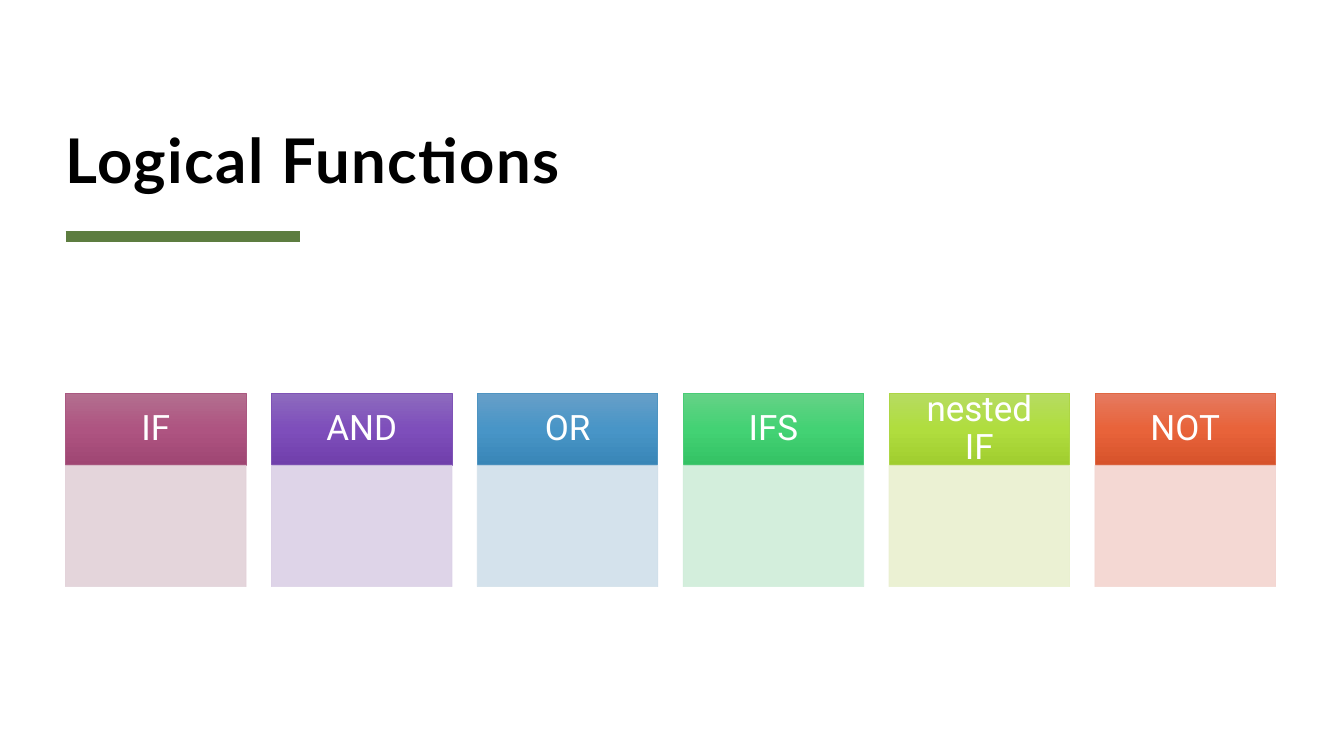
from copy import deepcopy
from dataclasses import dataclass

from lxml import etree
from pptx import Presentation, util as u
from pptx.dml.color import RGBColor
from pptx.enum import shapes, text
from pptx.oxml.ns import qn


@dataclass(frozen=True)
class Theme:
    title_font: str = "Lato"
    label_font: str = "Roboto"
    title_size: float = 44
    label_size: float = 25
    title_color: str = "000000"
    label_color: str = "FFFFFF"
    accent: str = "5D7D40"
    accent_width: float = 8
    border: float = 0.5
    body_opacity: int = 90


THEME = Theme()
SLIDE_W, SLIDE_H = 13.33, 7.5
MARGIN, CONTENT_W = 0.65, 12
GAP_SHARE = 0.14  # gap between cards, as a share of a card's width
HEAD_SHARE = 0.4  # header height, as a share of a card's width

# label, header gradient from top to bottom, header border, body
FUNCTIONS = [
    ("IF", ("B36F8F", "AE5481", "9F4673"), "AA5881", "E2D1D8"),
    ("AND", ("8D6BBE", "7E4EBB", "703FAB"), "7F53B6", "DBD0E6"),
    ("OR", ("679FC8", "4895C7", "3986B7"), "4E94C1", "D0DFEA"),
    ("IFS", ("65D286", "43D274", "34C264"), "49CC76", "CFEDD9"),
    ("nested IF", ("B6DC62", "B0DD3E", "A0CD2F"), "ADD645", "E9F0CF"),
    ("NOT", ("E57A60", "E8633A", "D7532B"), "E06742", "F3D4CF"),
]


def rgb(value):
    return RGBColor.from_string(value)


def inches(*lengths):
    return [u.Inches(length) for length in lengths]


def write(shape, words, *, font, size, color, bold=False, align=text.PP_ALIGN.LEFT,
          anchor=text.MSO_ANCHOR.MIDDLE, leading=1.0, tracking=0, inset=(0, 0)):
    """Fill a shape with one paragraph; inset is (horizontal, vertical)."""
    frame = shape.text_frame
    frame.word_wrap = True
    frame.vertical_anchor = anchor
    frame.margin_left = frame.margin_right = u.Inches(inset[0])
    frame.margin_top = frame.margin_bottom = u.Inches(inset[1])
    paragraph = frame.paragraphs[0]
    paragraph.alignment = align
    paragraph.line_spacing = leading
    run = paragraph.add_run()
    run.text = words
    run.font.name, run.font.size, run.font.bold = font, u.Pt(size), bold
    run.font.color.rgb = rgb(color)
    if tracking:
        run.font._element.set("spc", str(int(tracking * 100)))


def fill_gradient(shape, colors):
    """Spread the colours evenly from top to bottom."""
    shape.fill.gradient()
    shape.fill.gradient_angle = 270
    stop_list = shape._element.spPr.find(".//" + qn("a:gsLst"))
    while len(stop_list) < len(colors):
        stop_list.append(deepcopy(stop_list[0]))
    for i, (stop, color) in enumerate(zip(shape.fill.gradient_stops, colors)):
        stop.color.rgb = rgb(color)
        stop.position = i / (len(colors) - 1)


def set_opacity(shape, percent):
    for color in shape._element.spPr.iter(qn("a:srgbClr")):
        etree.SubElement(color, qn("a:alpha"), val=str(percent * 1000))


def add_panel(slide, box, border):
    panel = slide.shapes.add_shape(shapes.MSO_SHAPE.RECTANGLE, *inches(*box))
    panel.shadow.inherit = False
    panel.line.color.rgb = rgb(border)
    panel.line.width = u.Pt(THEME.border)
    return panel


def add_heading(slide, box, words):
    """Title on the floor of the box's upper part, with the accent rule at its bottom."""
    left, top, width, height = box
    title = slide.shapes.add_textbox(*inches(left, top, width, height - 0.41))
    write(title, words, font=THEME.title_font, size=THEME.title_size, bold=True,
          color=THEME.title_color, anchor=text.MSO_ANCHOR.BOTTOM, leading=0.8, tracking=1)
    bottom = top + height
    rule = slide.shapes.add_connector(
        shapes.MSO_CONNECTOR.STRAIGHT, *inches(left, bottom, left + 2.33, bottom))
    rule.line.color.rgb = rgb(THEME.accent)
    rule.line.width = u.Pt(THEME.accent_width)
    etree.SubElement(rule._element.spPr, qn("a:effectLst"))


def add_card(slide, box, label, gradient, border, tint):
    left, top, width, height = box
    head_h = width * HEAD_SHARE
    head = add_panel(slide, (left, top, width, head_h), border)
    fill_gradient(head, gradient)
    write(head, label, font=THEME.label_font, size=THEME.label_size, color=THEME.label_color,
          align=text.PP_ALIGN.CENTER, leading=0.9, inset=(0.19, 0.11))
    body = add_panel(slide, (left, top + head_h, width, height - head_h), tint)
    body.fill.solid()
    body.fill.fore_color.rgb = rgb(tint)
    set_opacity(body, THEME.body_opacity)


def add_card_row(slide, box, cards):
    left, top, width, height = box
    card_w = width / (len(cards) + GAP_SHARE * (len(cards) - 1))
    for i, card in enumerate(cards):
        card_left = left + i * card_w * (1 + GAP_SHARE)
        add_card(slide, (card_left, top, card_w, height), *card)


def main():
    deck = Presentation()
    deck.slide_width, deck.slide_height = inches(SLIDE_W, SLIDE_H)
    slide = deck.slides.add_slide(deck.slide_layouts[6])
    add_heading(slide, (MARGIN, 0.22, CONTENT_W, 2.13), "Logical Functions")
    add_card_row(slide, (MARGIN, 3.9, CONTENT_W, 1.92), FUNCTIONS)
    deck.save("out.pptx")


if __name__ == "__main__":
    main()
